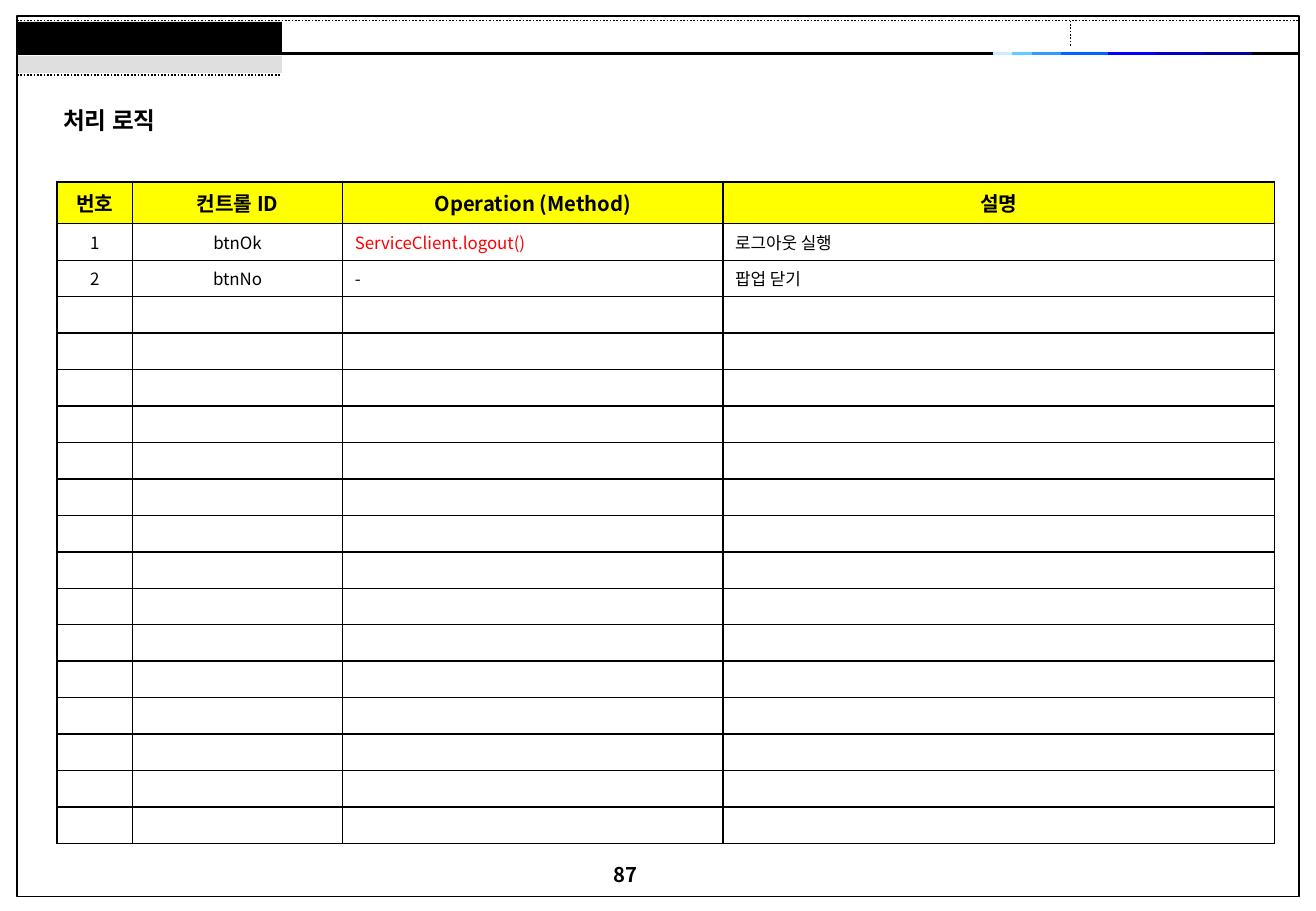
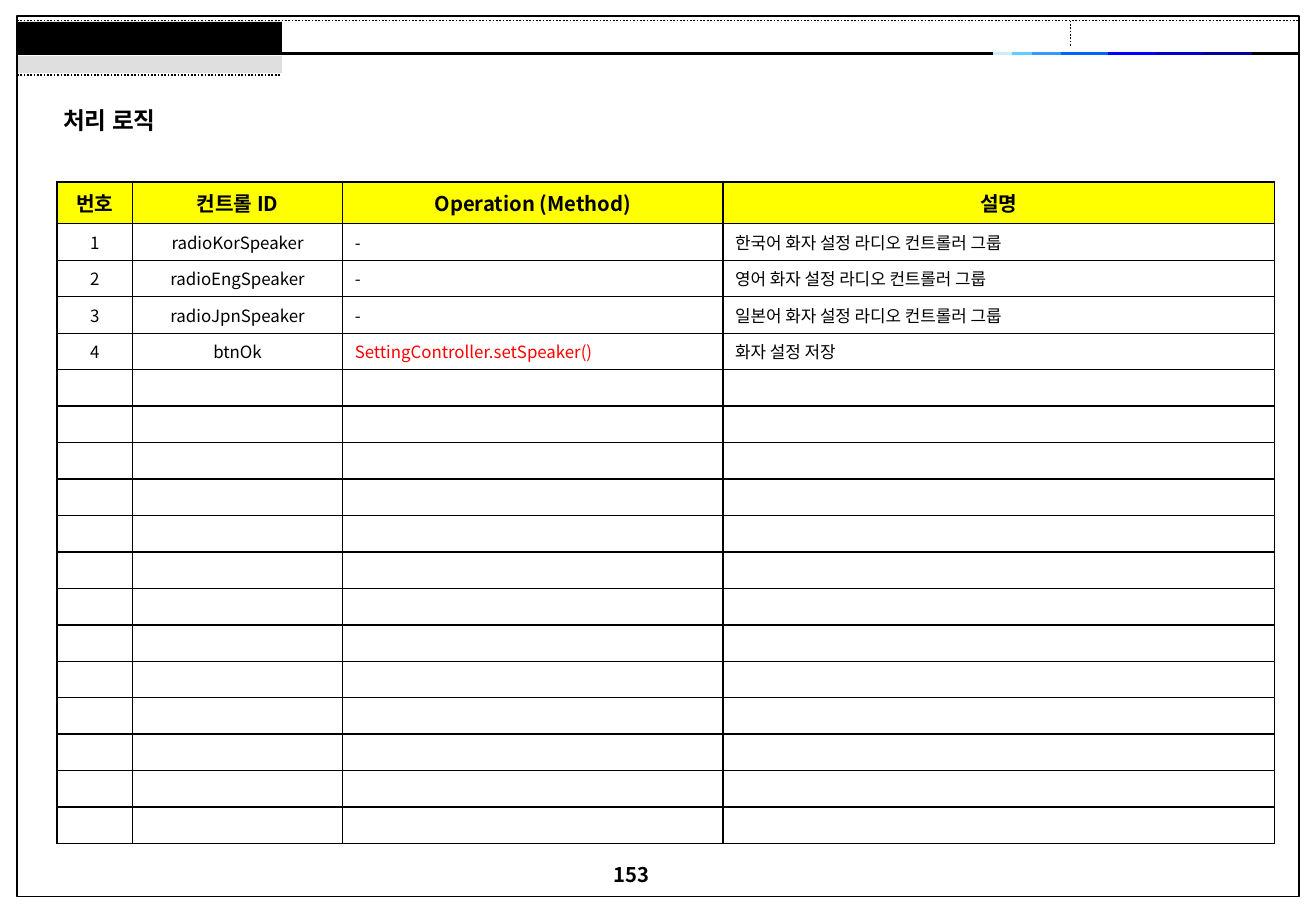
from itertools import pairwise

from lxml import etree
from pptx import Presentation
from pptx.dml.color import RGBColor
from pptx.enum.dml import MSO_LINE
from pptx.enum.shapes import MSO_CONNECTOR, MSO_SHAPE
from pptx.enum.text import MSO_ANCHOR, MSO_AUTO_SIZE, PP_ALIGN
from pptx.oxml.ns import qn
from pptx.util import Inches, Pt

STRAIGHT = MSO_CONNECTOR.STRAIGHT
RECT = MSO_SHAPE.RECTANGLE
DOTTED = MSO_LINE.ROUND_DOT
LEFT, CENTER = PP_ALIGN.LEFT, PP_ALIGN.CENTER
TOP, MIDDLE = MSO_ANCHOR.TOP, MSO_ANCHOR.MIDDLE
NO_FIT = MSO_AUTO_SIZE.NONE
TITLE_ONLY = 5

FONT = "Noto Sans CJK KR"
BLACK, GREY, YELLOW, RED = "000000", "C0C0C0", "FFFF00", "FF0000"
BLUES = ["CCECFF", "66CCFF", "3399FF", "0066FF", "0000FF", "0000CC", "000099"]
BLUE_STOPS = [8.17, 8.33, 8.49, 8.73, 9.12, 9.51, 9.91, 10.3]

TITLE = "처리 로직"
HEADER = ["번호", "컨트롤 ID", "Operation (Method)", "설명"]
COLUMN_WIDTHS = [0.62, 1.73, 3.13, 4.54]
ALIGNMENTS = [CENTER, CENTER, LEFT, LEFT]
BODY_ROWS = 17
HEADER_HEIGHT, ROW_HEIGHT = 0.34, 0.3
HEADER_STYLE = {"size": Pt(12), "bold": True}
BODY_STYLE = {"size": Pt(10), "bold": False}
TITLE_STYLE = {"size": Pt(14), "bold": True}

PAGES = [
    ("87", [
        ("btnOk", "ServiceClient.logout()", "로그아웃 실행"),
        ("btnNo", "-", "팝업 닫기"),
    ]),
    ("153", [
        ("radioKorSpeaker", "-", "한국어 화자 설정 라디오 컨트롤러 그룹"),
        ("radioEngSpeaker", "-", "영어 화자 설정 라디오 컨트롤러 그룹"),
        ("radioJpnSpeaker", "-", "일본어 화자 설정 라디오 컨트롤러 그룹"),
        ("btnOk", "SettingController.setSpeaker()", "화자 설정 저장"),
    ]),
]


def rgb(color):
    return RGBColor.from_string(color)


class Deck:
    def __init__(self):
        self.prs = Presentation()
        self.prs.slide_width = Inches(10.83)
        self.prs.slide_height = Inches(7.5)

    def new_slide(self):
        self.s = self.prs.slides.add_slide(self.prs.slide_layouts[TITLE_ONLY])

    def line(self, x1, y1, x2, y2, color=BLACK, width=1, dash=None):
        sp = self.s.shapes.add_connector(
            STRAIGHT, Inches(x1), Inches(y1), Inches(x2), Inches(y2))
        sp.line.color.rgb = rgb(color)
        sp.line.width = Pt(width)
        if dash:
            sp.line.dash_style = dash
        etree.SubElement(sp._element.spPr, qn("a:effectLst"))

    def rect(self, x, y, w, h, fill=None, alpha=None, outline=None):
        sp = self.s.shapes.add_shape(
            RECT, Inches(x), Inches(y), Inches(w), Inches(h))
        sp.shadow.inherit = False
        if fill:
            sp.fill.solid()
            sp.fill.fore_color.rgb = rgb(fill)
        else:
            sp.fill.background()
        if alpha:
            clr = sp._element.spPr.find(".//" + qn("a:srgbClr"))
            etree.SubElement(clr, qn("a:alpha"), val=str(alpha * 1000))
        if outline:
            sp.line.color.rgb = rgb(outline)
            sp.line.width = Pt(1)
        else:
            sp.line.fill.background()

    def text(self, tf, text, style, align=LEFT, color=BLACK):
        p = tf.paragraphs[0]
        p.alignment = align
        if not text:
            p._p.get_or_add_endParaRPr().set("sz", str(int(style["size"].pt * 100)))
            return
        r = p.add_run()
        r.text = text
        for name, value in {"name": FONT, **style}.items():
            setattr(r.font, name, value)
        r.font.color.rgb = rgb(color)
        etree.SubElement(r._r.get_or_add_rPr(), qn("a:ea"), typeface=FONT)

    def frame(self, tf, anchor):
        settings = {"word_wrap": True, "auto_size": NO_FIT, "vertical_anchor": anchor}
        for name, value in settings.items():
            setattr(tf, name, value)

    def title(self, text):
        sp = self.s.shapes.title
        box = {"left": 0.42, "top": 0.82, "width": 2.01, "height": 0.34}
        for name, value in box.items():
            setattr(sp, name, Inches(value))
        self.frame(sp.text_frame, MIDDLE)
        self.text(sp.text_frame, text, TITLE_STYLE)

    def page_number(self, number):
        sp = self.s.shapes.add_textbox(
            Inches(4.95), Inches(7.05), Inches(0.94), Inches(0.44))
        self.frame(sp.text_frame, TOP)
        self.text(sp.text_frame, number, HEADER_STYLE)

    def bands(self):
        self.rect(0.14, 0.13, 10.55, 7.25, outline=BLACK)
        self.line(0.14, 0.44, 10.69, 0.44, width=2.25)
        self.line(0.14, 0.17, 10.69, 0.17, dash=DOTTED)
        for (x1, x2), color in zip(pairwise(BLUE_STOPS), BLUES):
            self.line(x1, 0.44, x2, 0.44, color, 2.25)
        self.line(8.81, 0.17, 8.81, 0.38, dash=DOTTED)
        self.rect(0.15, 0.18, 2.17, 0.25, BLACK)
        self.rect(0.15, 0.46, 2.17, 0.14, GREY, alpha=50)
        self.line(0.14, 0.62, 2.31, 0.62, dash=DOTTED)

    def cell(self, cell, text, style, align, color=BLACK, fill=None):
        tcPr = cell._tc.get_or_add_tcPr()
        for side in ("lnL", "lnR", "lnT", "lnB"):
            ln = etree.SubElement(tcPr, qn("a:" + side), w=str(int(Pt(1))))
            solid = etree.SubElement(ln, qn("a:solidFill"))
            etree.SubElement(solid, qn("a:srgbClr"), val=BLACK)
        if fill:
            cell.fill.solid()
            cell.fill.fore_color.rgb = rgb(fill)
        else:
            cell.fill.background()
        cell.vertical_anchor = MIDDLE
        self.text(cell.text_frame, text, style, align, color)

    def table(self, controls):
        height = HEADER_HEIGHT + BODY_ROWS * ROW_HEIGHT
        tbl = self.s.shapes.add_table(
            BODY_ROWS + 1, len(HEADER), Inches(0.47), Inches(1.5),
            Inches(sum(COLUMN_WIDTHS)), Inches(height)).table
        tbl.first_row = tbl.horz_banding = False
        for column, width in zip(tbl.columns, COLUMN_WIDTHS):
            column.width = Inches(width)
        for i, row in enumerate(tbl.rows):
            row.height = Inches(ROW_HEIGHT if i else HEADER_HEIGHT)
        for j, text in enumerate(HEADER):
            self.cell(tbl.cell(0, j), text, HEADER_STYLE, CENTER, fill=YELLOW)
        rows = [(str(i), *control) for i, control in enumerate(controls, 1)]
        rows += [("",) * len(HEADER)] * (BODY_ROWS - len(rows))
        for i, row in enumerate(rows, 1):
            for j, text in enumerate(row):
                color = RED if text.endswith("()") else BLACK
                self.cell(tbl.cell(i, j), text, BODY_STYLE, ALIGNMENTS[j], color)


def main():
    deck = Deck()
    for number, controls in PAGES:
        deck.new_slide()
        deck.bands()
        deck.page_number(number)
        deck.table(controls)
        deck.title(TITLE)
    deck.prs.save("out.pptx")


if __name__ == "__main__":
    main()
